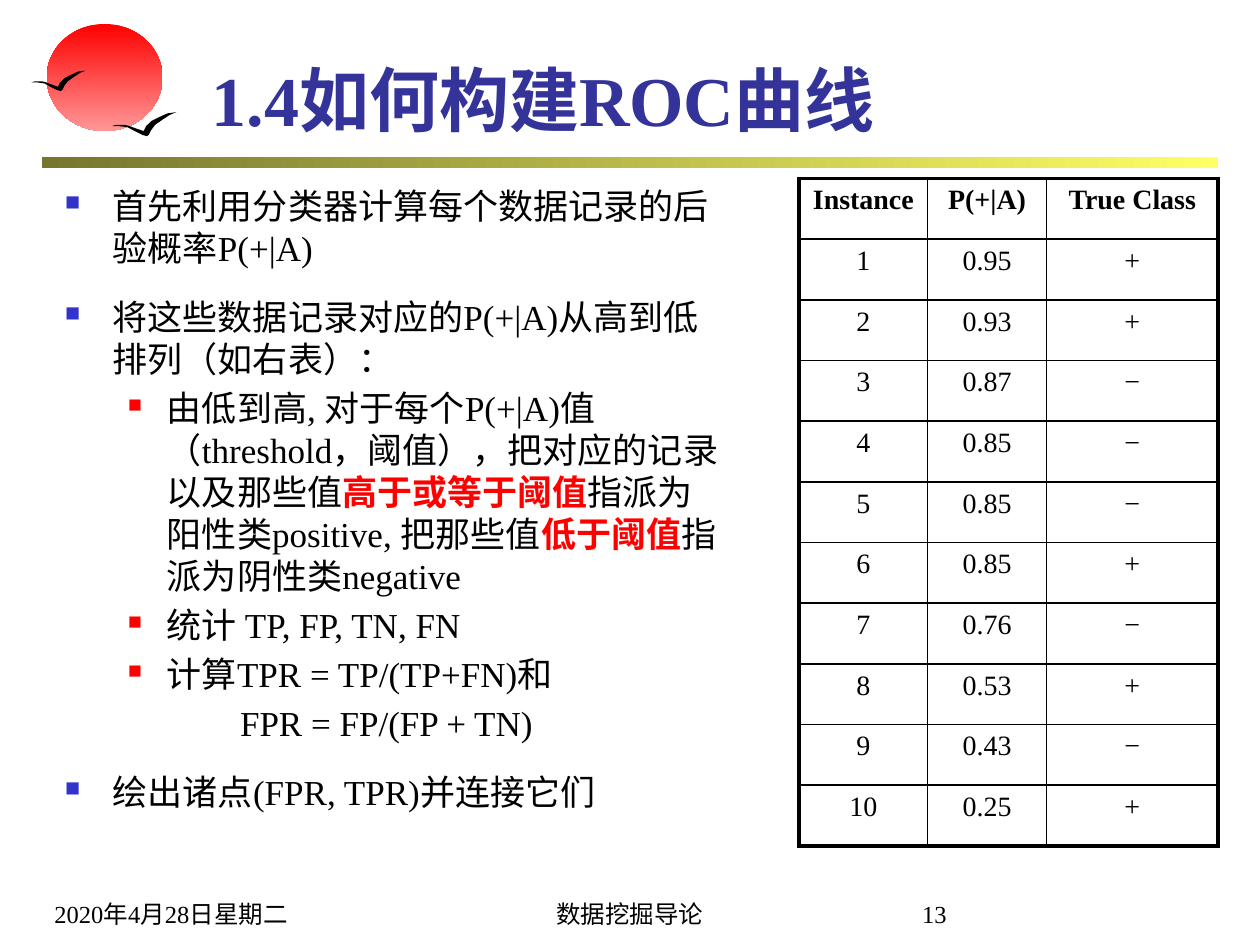
from lxml import etree
from pptx import Presentation
from pptx.dml.color import RGBColor
from pptx.enum.shapes import MSO_SHAPE
from pptx.enum.text import MSO_ANCHOR, PP_ALIGN
from pptx.oxml.ns import qn
from pptx.util import Inches, Pt

RECT, OVAL = MSO_SHAPE.RECTANGLE, MSO_SHAPE.OVAL
TOP, BOTTOM = MSO_ANCHOR.TOP, MSO_ANCHOR.BOTTOM
LEFT, CENTER = PP_ALIGN.LEFT, PP_ALIGN.CENTER
COLORS = {"black": "000000", "title": "333399", "bullet": "3333CC", "red": "FF0000",
          "pink": "FF9797", "olive": "76762F", "yellow": "FFFF66"}
COLS, ROWS = 120, 90

# Outline of a flying bird, in shares of its box
BIRD = [(0, .58), (.06, .53), (.2, .53), (.27, .58), (.37, .68), (.49, .79), (.53, .58),
        (.61, .37), (.73, .21), (.86, .05), (1, 0), (.9, .11), (.78, .32), (.67, .53),
        (.61, .74), (.57, .95), (.54, 1), (.47, .95), (.35, .79), (.24, .63), (.1, .58)]

# Paragraph levels: margin and indent in inches, bullet colour and size in percent
LEVELS = {"main": (.38, -.38, "bullet", 60), "sub": (.81, -.31, "red", 55),
          "formula": (1.39, 0, None, 0)}
# Level, space before in points, runs (text, emphasised)
BODY = [
    ("main", 4, [("首先利用分类器计算每个数据记录的后验概率P(+|A)", False)]),
    ("main", 15.4, [("将这些数据记录对应的P(+|A)从高到低排列（如右表）：", False)]),
    ("sub", 4, [("由低到高, 对于每个P(+|A)值（threshold，阈值），把对应的记录以及那些值", False),
                ("高于或等于阈值", True), ("指派为阳性类positive, 把那些值", False),
                ("低于阈值", True), ("指派为阴性类negative", False)]),
    ("sub", 4, [("统计 TP, FP, TN, FN", False)]),
    ("sub", 4, [("计算TPR = TP/(TP+FN)和", False)]),
    ("formula", 4, [("FPR = FP/(FP + TN)", False)]),
    ("main", 15.4, [("绘出诸点(FPR, TPR)并连接它们", False)]),
]
HEADER = ("Instance", "P(+|A)", "True Class")
SCORES = ("0.95", "0.93", "0.87", "0.85", "0.85", "0.85", "0.76", "0.53", "0.43", "0.25")
CLASSES = "++−−−+−+−+"


def rgb(name):
    """Return a named colour."""
    return RGBColor.from_string(COLORS[name])


class Deck:
    """Holds the style and the current slide."""

    font = "Times New Roman"

    def __init__(self, prs):
        """Add a blank slide and work out its grid."""
        self.s = prs.slides.add_slide(prs.slide_layouts[6])
        self.dx, self.dy = prs.slide_width / COLS, prs.slide_height / ROWS

    def box(self, x, y, w, h):
        """Turn grid columns and rows into lengths."""
        return [round(v) for v in (x * self.dx, y * self.dy, w * self.dx, h * self.dy)]

    def gradient(self, kind, at, stops, angle):
        """Draw a preset shape with a two-colour gradient."""
        sp = self.s.shapes.add_shape(kind, *self.box(*at))
        sp.shadow.inherit = False
        sp.line.fill.background()
        sp.fill.gradient()
        sp.fill.gradient_angle = angle
        for stop, name, pos in zip(sp.fill.gradient_stops, stops, (0, 1)):
            stop.color.rgb, stop.position = rgb(name), pos

    def outline(self, points, at):
        """Draw a black closed outline scaled to a box."""
        x, y, w, h = self.box(*at)
        pts = [(round(x + px * w), round(y + py * h)) for px, py in points]
        builder = self.s.shapes.build_freeform(*pts[0], scale=1.0)
        builder.add_line_segments(pts[1:], close=True)
        sp = builder.convert_to_shape()
        sp.shadow.inherit = False
        sp.fill.solid()
        sp.fill.fore_color.rgb = rgb("black")
        sp.line.fill.background()

    def run(self, p, text, size, color="black", bold=False):
        """Add a styled run to a paragraph."""
        r = p.add_run()
        r.text = text
        style = {"name": self.font, "size": Pt(size), "bold": bold}
        for key, value in style.items():
            setattr(r.font, key, value)
        r.font.color.rgb = rgb(color)

    def frame(self, at, anchor):
        """Add a wrapping text box and return its frame."""
        tf = self.s.shapes.add_textbox(*self.box(*at)).text_frame
        tf.word_wrap, tf.vertical_anchor = True, anchor
        return tf

    def label(self, text, at, size=14, align=LEFT, **style):
        """Add one line of text standing on the bottom of its box."""
        p = self.frame(at, BOTTOM).paragraphs[0]
        p.alignment = align
        self.run(p, text, size, **style)

    def bullets(self, items, at, size=20):
        """Add a bulleted list with several levels."""
        tf = self.frame(at, TOP)
        for i, (level, before, runs) in enumerate(items):
            p = tf.add_paragraph() if i else tf.paragraphs[0]
            p.space_before = Pt(before)
            margin, indent, color, percent = LEVELS[level]
            pPr = p._p.get_or_add_pPr()
            pPr.set("marL", str(Inches(margin)))
            pPr.set("indent", str(Inches(indent)))
            if color:
                clr = etree.SubElement(pPr, qn("a:buClr"))
                etree.SubElement(clr, qn("a:srgbClr"), val=COLORS[color])
                etree.SubElement(pPr, qn("a:buSzPct"), val=str(percent * 1000))
                etree.SubElement(pPr, qn("a:buChar"), char="■")
            for text, strong in runs:
                self.run(p, text, size, "red" if strong else "black", strong)

    def border(self, cell, side, width):
        """Draw one black border of a cell."""
        ln = etree.SubElement(cell._tc.get_or_add_tcPr(), qn("a:ln" + side), w=str(Pt(width)))
        fill = etree.SubElement(ln, qn("a:solidFill"))
        etree.SubElement(fill, qn("a:srgbClr"), val=COLORS["black"])

    def table(self, rows, at, widths, size=16, thin=1, thick=2.25):
        """Add a centred table with a thick frame and thin inner lines."""
        n, m = len(rows), len(rows[0])
        tbl = self.s.shapes.add_table(n, m, *self.box(*at)).table
        tbl.first_row = tbl.horz_banding = False
        for col, width in zip(tbl.columns, widths):
            col.width = round(width * self.dx)
        for i, row in enumerate(rows):
            for j, text in enumerate(row):
                cell = tbl.cell(i, j)
                outer = {"L": j == 0, "R": j == m - 1, "T": i == 0, "B": i == n - 1}
                for side, edge in outer.items():
                    self.border(cell, side, thick if edge else thin)
                cell.fill.background()
                p = cell.text_frame.paragraphs[0]
                p.alignment = CENTER
                self.run(p, text, size, bold=i == 0)


def main():
    """Build the slide and save it."""
    prs = Presentation()
    prs.slide_width, prs.slide_height = Inches(10), Inches(7.5)
    deck = Deck(prs)
    deck.gradient(RECT, (4, 15, 112, 1), ("olive", "yellow"), 0)
    deck.gradient(OVAL, (4.44, 2.28, 11.04, 10.2), ("red", "pink"), 270)
    for at in ((3, 6.72, 5.16, 1.95), (10.68, 10.68, 6.12, 2.28)):
        deck.outline(BIRD, at)
    deck.label("2020年4月28日星期二", (4, 83, 33, 6))
    deck.label("数据挖掘导论", (41, 83, 38, 6), align=CENTER)
    deck.label("13", (83, 83, 12, 6), align=CENTER)
    deck.label("1.4如何构建ROC曲线", (19, 4, 97, 10), 40, color="title", bold=True)
    deck.bullets(BODY, (5, 17, 65.4, 63.5))
    records = [(str(i), *pair) for i, pair in enumerate(zip(SCORES, CLASSES), 1)]
    deck.table([HEADER, *records], (76.1, 17, 39.9, 63.6), (12.24, 11.34, 16.32))
    prs.save("out.pptx")


main()
